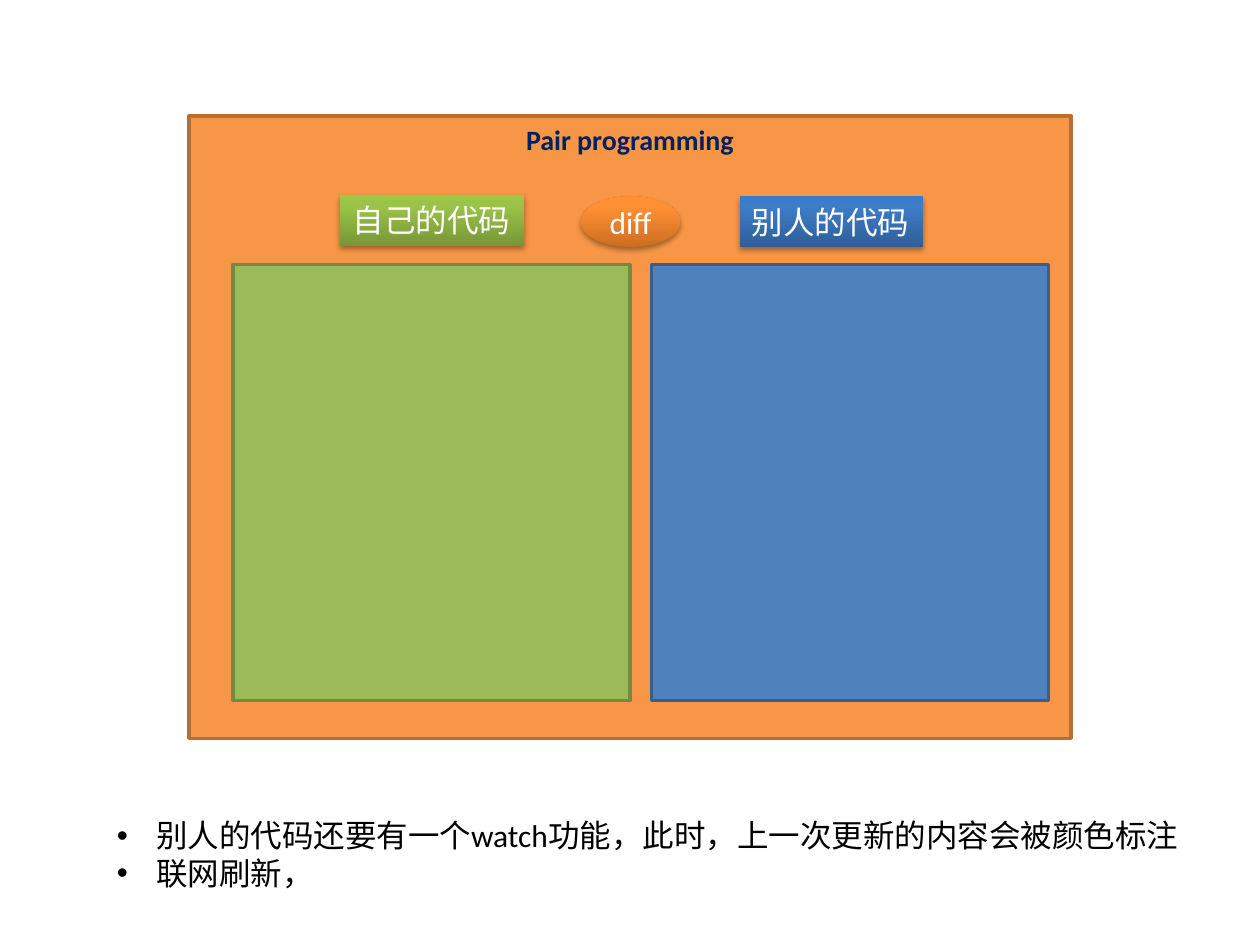
"""Builds the pair programming slide."""
import copy
import pptx
import pptx.util
import pptx.dml.color
import pptx.enum.shapes
import pptx.enum.text
import pptx.oxml
import pptx.oxml.ns

Inches = pptx.util.Inches
Pt = pptx.util.Pt
RGBColor = pptx.dml.color.RGBColor
Kind = pptx.enum.shapes.MSO_SHAPE
Align = pptx.enum.text.PP_ALIGN
Anchor = pptx.enum.text.MSO_ANCHOR
Fit = pptx.enum.text.MSO_AUTO_SIZE

WHITE = RGBColor(0xFF, 0xFF, 0xFF)
BLACK = RGBColor(0, 0, 0)
NAVY = RGBColor(0x00, 0x20, 0x60)
ORANGE = RGBColor(0xF7, 0x96, 0x46)
RUST = RGBColor(0xB7, 0x6F, 0x34)
GREEN = RGBColor(0x9B, 0xBB, 0x59)
MOSS = RGBColor(0x73, 0x8A, 0x42)
BLUE = RGBColor(0x4F, 0x81, 0xBD)
STEEL = RGBColor(0x3A, 0x5F, 0x8C)
STOPS = (0, 0.8, 1)
LEAF = (RGBColor(0x77, 0x97, 0x37), RGBColor(0x9B, 0xC3, 0x48), RGBColor(0x9D, 0xC7, 0x46))
SKY = (RGBColor(0x2F, 0x5F, 0x99), RGBColor(0x3D, 0x7C, 0xC7), RGBColor(0x3A, 0x7C, 0xCB))
FLAME = (RGBColor(0xCC, 0x6E, 0x20), RGBColor(0xFF, 0x90, 0x34), RGBColor(0xFF, 0x91, 0x36))

NS = pptx.oxml.ns.nsdecls("a")
SHADOW = (f'<a:outerShdw {NS} blurRad="40000" dist="23000" dir="5400000" rotWithShape="0">'
          '<a:srgbClr val="000000"><a:alpha val="35000"/></a:srgbClr></a:outerShdw>')
BULLET = (f'<a:buFont {NS} typeface="Arial"/>', f'<a:buChar {NS} char="•"/>')


class Deck:
    """Holds the text style and the current slide."""

    def __init__(self, font, size):
        self.font, self.size = font, size
        self.show = pptx.Presentation()
        self.show.slide_width, self.show.slide_height = Inches(10), Inches(7.5)
        self.slide = self.show.slides.add_slide(self.show.slide_layouts[6])

    def text(self, shape, words, color, align, anchor=Anchor.TOP, size=None, bold=False):
        frame = shape.text_frame
        frame.text = words
        frame.vertical_anchor = anchor
        for para in frame.paragraphs:
            para.alignment = align
            for run in para.runs:
                run.font.name, run.font.size = self.font, Pt(size or self.size)
                run.font.color.rgb, run.font.bold = color, bold
        return frame

    def shape(self, kind, box):
        shape = self.slide.shapes.add_shape(kind, *map(Inches, box))
        shape.shadow.inherit = False
        return shape

    def panel(self, box, fill, edge):
        panel = self.shape(Kind.RECTANGLE, box)
        panel.fill.solid()
        panel.fill.fore_color.rgb = fill
        panel.line.color.rgb, panel.line.width = edge, Pt(2)
        return panel

    def badge(self, kind, box, tones):
        badge = self.shape(kind, box)
        badge.line.fill.background()
        badge.fill.gradient()
        badge.fill.gradient_angle = 90
        props = badge.element.spPr
        stops = props.find(".//" + pptx.oxml.ns.qn("a:gsLst"))
        stops.append(copy.deepcopy(stops[-1]))
        for stop, place, tone in zip(badge.fill.gradient_stops, STOPS, tones):
            stop.position, stop.color.rgb = place, tone
        glow = props.find(pptx.oxml.ns.qn("a:effectLst"))
        glow.append(pptx.oxml.parse_xml(SHADOW))
        return badge

    def label(self, box, words, tones):
        badge = self.badge(Kind.RECTANGLE, box, tones)
        frame = self.text(badge, words, WHITE, Align.LEFT)
        frame.word_wrap, frame.auto_size = False, Fit.SHAPE_TO_FIT_TEXT

    def bullets(self, box, lines):
        shape = self.slide.shapes.add_textbox(*map(Inches, box))
        frame = self.text(shape, "\n".join(lines), BLACK, Align.LEFT)
        frame.word_wrap, frame.auto_size = True, Fit.SHAPE_TO_FIT_TEXT
        for para in frame.paragraphs:
            props = para._p.get_or_add_pPr()
            props.set("marL", str(Inches(0.31)))
            props.set("indent", str(-Inches(0.31)))
            for mark in BULLET:
                props.append(pptx.oxml.parse_xml(mark))


deck = Deck("Calibri", 18)
board = deck.panel((1.5, 0.92, 7, 4.94), ORANGE, RUST)
title = deck.text(board, "Pair programming", NAVY, Align.CENTER, size=16, bold=True)
title.paragraphs[0].space_before = Pt(3.2)
for left, fill, edge in ((1.85, GREEN, MOSS), (5.17, BLUE, STEEL)):
    deck.panel((left, 2.1, 3.15, 3.46), fill, edge)
deck.label((2.7, 1.55, 1.46, 0.4), "自己的代码", LEAF)
deck.label((5.87, 1.56, 1.46, 0.4), "别人的代码", SKY)
diff = deck.badge(Kind.OVAL, (4.61, 1.56, 0.79, 0.4), FLAME)
deck.text(diff, "diff", WHITE, Align.CENTER, Anchor.MIDDLE)
deck.bullets((0.83, 6.43, 8.82, 0.71), (
    "别人的代码还要有一个watch功能，此时，上一次更新的内容会被颜色标注",
    "联网刷新，"))
deck.show.save("out.pptx")
